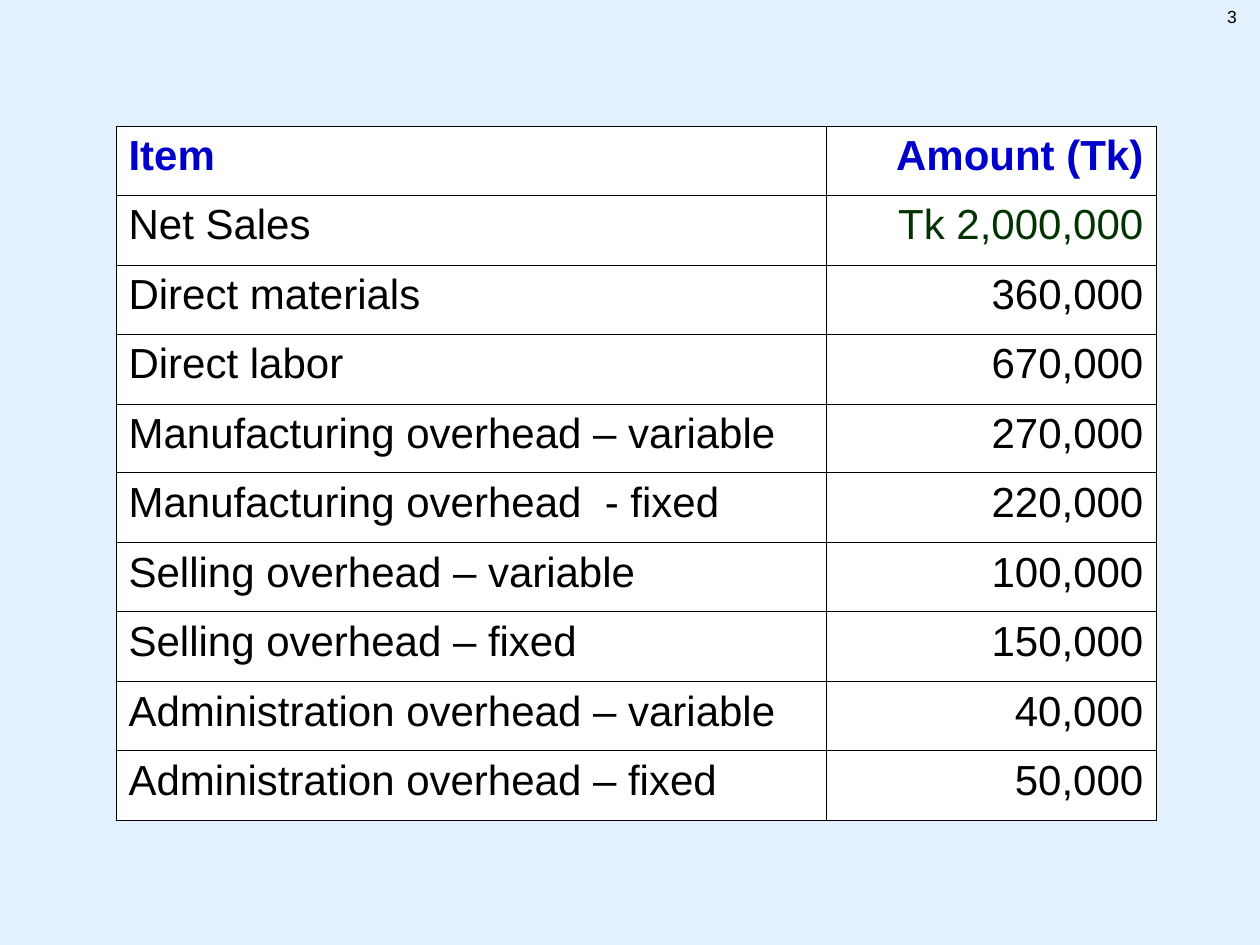
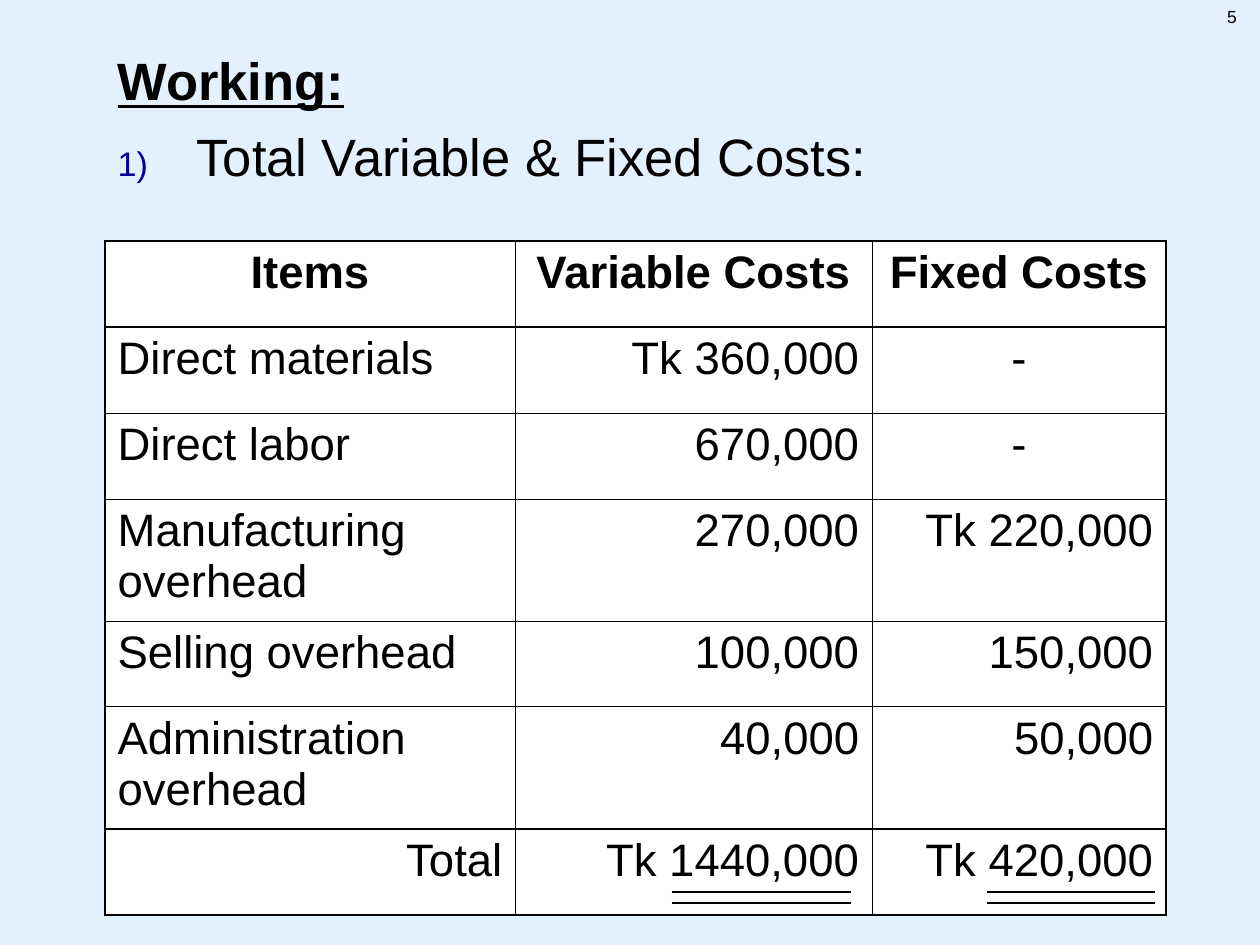
"""Cost listing and variable/fixed cost working, one table per slide."""
from lxml.etree import SubElement
from pptx import Presentation
from pptx.dml.color import RGBColor
from pptx.enum.shapes import MSO_CONNECTOR
from pptx.enum.text import MSO_AUTO_SIZE, PP_ALIGN
from pptx.oxml.ns import qn
from pptx.util import Pt

COLORS = {"background": "E3F1FF", "cell": "FFFFFF", "ink": "000000",
          "header": "0000CC", "sales": "003300", "number": "000099"}
FONT = "Arial"
THIN, THICK = 0.45, 1.08
LEFT, CENTER, RIGHT = PP_ALIGN.LEFT, PP_ALIGN.CENTER, PP_ALIGN.RIGHT

COST_ITEMS = [
    ("Item", "Amount (Tk)"),
    ("Net Sales", "Tk 2,000,000"),
    ("Direct materials", "360,000"),
    ("Direct labor", "670,000"),
    ("Manufacturing overhead – variable", "270,000"),
    ("Manufacturing overhead  - fixed", "220,000"),
    ("Selling overhead – variable", "100,000"),
    ("Selling overhead – fixed", "150,000"),
    ("Administration overhead – variable", "40,000"),
    ("Administration overhead – fixed", "50,000"),
]
COST_SPLIT = [
    ("Items", "Variable Costs", "Fixed Costs"),
    ("Direct materials", "Tk 360,000", "-"),
    ("Direct labor", "670,000", "-"),
    ("Manufacturing overhead", "270,000", "Tk 220,000"),
    ("Selling overhead", "100,000", "150,000"),
    ("Administration overhead", "40,000", "50,000"),
    ("Total", "Tk 1440,000", "Tk 420,000"),
]


def px(n):
    """Turn px into EMU at 126 px to the inch."""
    return round(n * 914400 / 126)


def rgb(name):
    """Look up a named colour."""
    return RGBColor.from_string(COLORS[name])


def write(p, text, size, color="ink", bold=False, underline=False, align=LEFT, before=0):
    """Put formatted text into a paragraph."""
    p.alignment = align
    p.space_before = Pt(before)
    r = p.add_run()
    r.text = text
    font = r.font
    font.name, font.size = FONT, Pt(size)
    font.bold, font.underline = bold, underline
    font.color.rgb = rgb(color)


def set_bullet(p, indent, numbered):
    """Give a paragraph a hanging indent, with a small number or no bullet."""
    pPr = p._p.get_or_add_pPr()
    pPr.set("marL", str(px(indent)))
    pPr.set("indent", str(-px(indent)))
    if numbered:
        color = SubElement(pPr, qn("a:buClr"))
        SubElement(color, qn("a:srgbClr"), val=COLORS["number"])
        SubElement(pPr, qn("a:buSzPct"), val="65000")
        SubElement(pPr, qn("a:buFont"), typeface=FONT)
        SubElement(pPr, qn("a:buAutoNum"), type="arabicParenR")
    else:
        SubElement(pPr, qn("a:buNone"))


def set_borders(cell, **widths):
    """Draw the cell's borders, widths in points keyed by side L, R, T, B."""
    tcPr = cell._tc.get_or_add_tcPr()
    for side, width in widths.items():
        ln = SubElement(tcPr, qn(f"a:ln{side}"), w=str(Pt(width)))
        fill = SubElement(ln, qn("a:solidFill"))
        SubElement(fill, qn("a:srgbClr"), val=COLORS["ink"])


def add_table(s, rows, x, y, widths, heights, cell_format, rule=THIN):
    """Add a white table; rule is the weight of its frame, header and total lines."""
    frame = s.shapes.add_table(len(rows), len(widths), px(x), px(y),
                               px(sum(widths)), px(sum(heights)))
    table = frame.table
    table.first_row = table.horz_banding = False
    for column, width in zip(table.columns, widths):
        column.width = px(width)
    for row, height in zip(table.rows, heights):
        row.height = px(height)
    last_row, last_col = len(rows) - 1, len(widths) - 1
    for i, texts in enumerate(rows):
        for j, text in enumerate(texts):
            cell = table.cell(i, j)
            set_borders(cell,
                        L=rule if j == 0 else THIN,
                        R=rule if j == last_col else THIN,
                        T=rule if i in (0, 1, last_row) else THIN,
                        B=rule if i in (0, last_row - 1, last_row) else THIN)
            cell.fill.solid()
            cell.fill.fore_color.rgb = rgb("cell")
            write(cell.text_frame.paragraphs[0], text, **cell_format(i, j, text))


def item_format(i, j, text):
    """Format a cell of the cost listing."""
    color = "header" if i == 0 else "sales" if (i, j) == (1, 1) else "ink"
    return dict(size=24, color=color, bold=i == 0, align=RIGHT if j else LEFT)


def split_format(i, j, text):
    """Format a cell of the variable/fixed split."""
    if i == 0 or text == "-":
        align = CENTER
    else:
        align = RIGHT if j or text == "Total" else LEFT
    return dict(size=26, bold=i == 0, align=align)


def add_double_rule(s, x1, x2, y):
    """Draw the two lines under a total."""
    for line_y in (y, y + 11):
        line = s.shapes.add_connector(MSO_CONNECTOR.STRAIGHT, px(x1), px(line_y),
                                      px(x2), px(line_y))
        line.line.color.rgb = rgb("ink")
        line.line.width = Pt(0.75)
        SubElement(line._element.spPr, qn("a:effectLst"))


def add_page_number(s, number):
    """Put the page number in the top right corner."""
    sp = s.shapes.add_textbox(px(1144), 0, px(105), px(42))
    sp.text_frame.word_wrap = True
    write(sp.text_frame.paragraphs[0], str(number), 10, align=RIGHT)


def add_heading(s):
    """Fill the body placeholder with the heading and the numbered step."""
    title = s.shapes.title._element
    title.getparent().remove(title)
    sp = s.placeholders[1]
    sp.left, sp.top, sp.width, sp.height = px(105), px(42), px(1071), px(819)
    tf = sp.text_frame
    tf.auto_size = MSO_AUTO_SIZE.NONE
    heading, step = tf.paragraphs[0], tf.add_paragraph()
    set_bullet(heading, 79, numbered=False)
    write(heading, "Working:", 30, bold=True, underline=True)
    set_bullet(step, 79, numbered=True)
    write(step, "Total Variable & Fixed Costs:", 30, before=7.5)


def main():
    """Build both slides and save the deck."""
    prs = Presentation()
    prs.slide_width, prs.slide_height = px(1260), px(945)
    fill = prs.slide_master.background.fill
    fill.solid()
    fill.fore_color.rgb = rgb("background")
    content, blank = prs.slide_layouts[1], prs.slide_layouts[6]

    s = prs.slides.add_slide(blank)
    add_page_number(s, 3)
    add_table(s, COST_ITEMS, 116, 126, [710, 330], [69, 70] * 5, item_format)

    s = prs.slides.add_slide(content)
    add_page_number(s, 5)
    add_heading(s)
    add_table(s, COST_SPLIT, 105, 241, [410, 357, 294],
              [86, 86, 86, 122, 86, 122, 86], split_format, rule=THICK)
    add_double_rule(s, 672, 851, 892)
    add_double_rule(s, 987, 1155, 892)

    prs.save("out.pptx")


if __name__ == "__main__":
    main()
